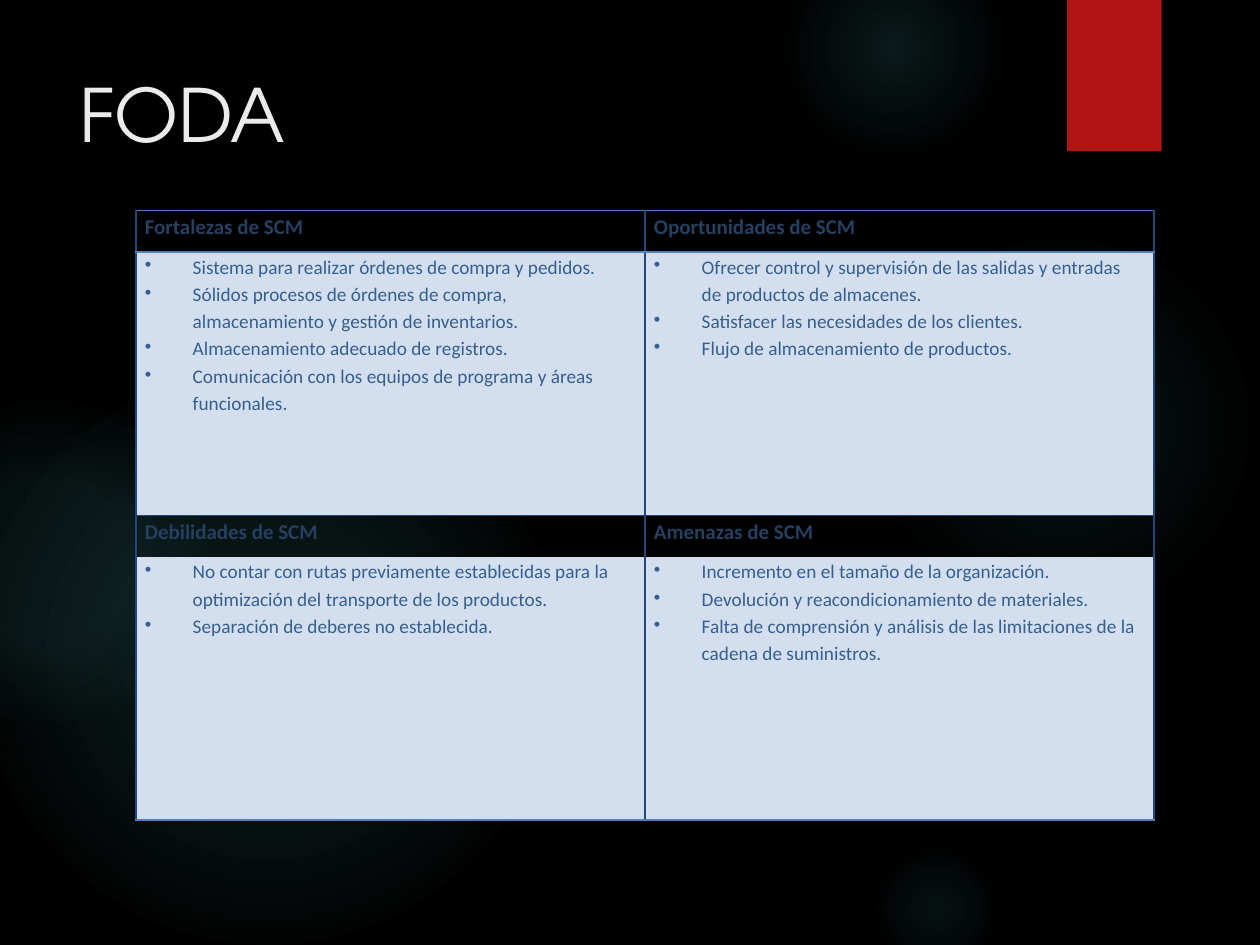
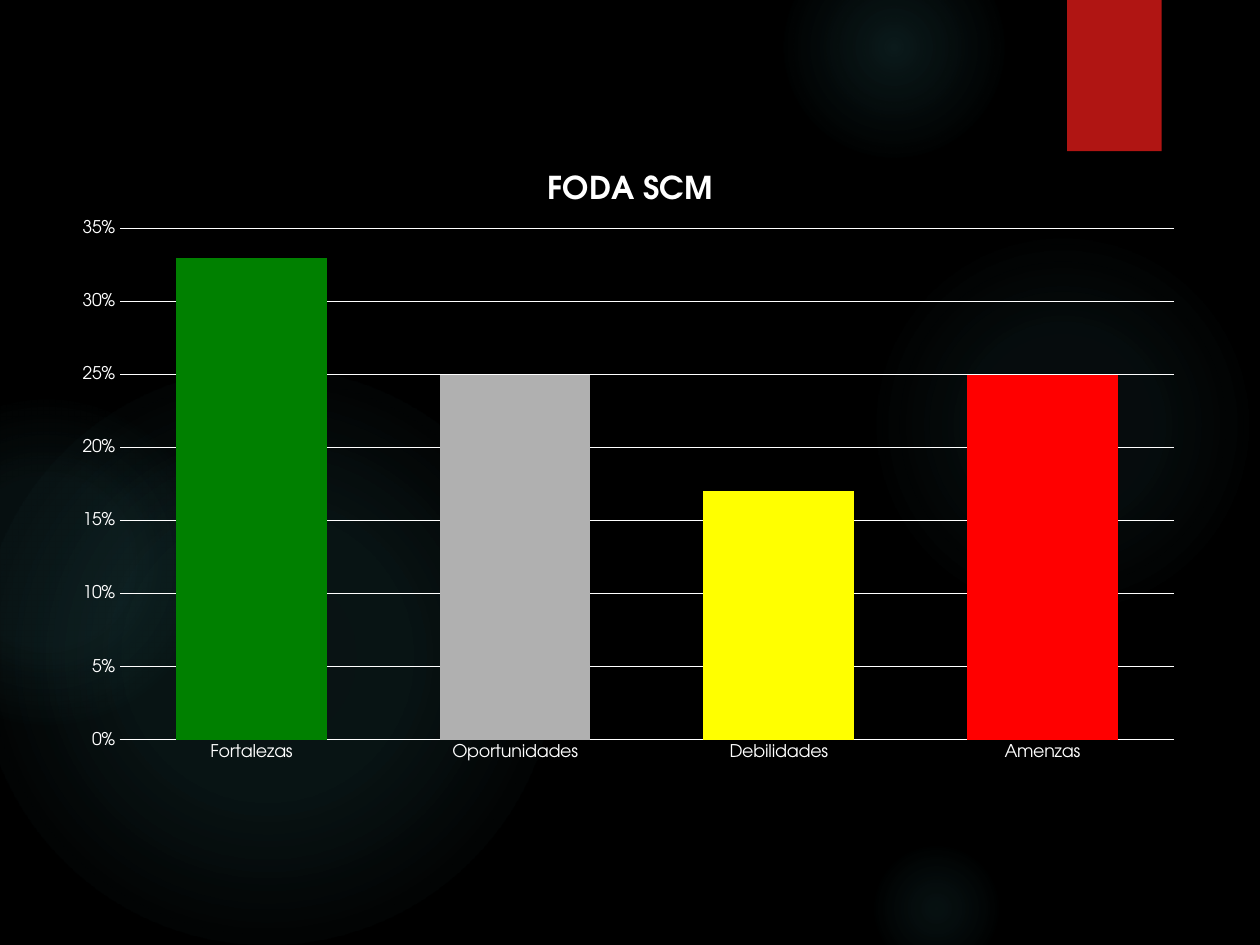
from lxml import etree
from pptx import Presentation
from pptx.chart.data import CategoryChartData
from pptx.dml.color import RGBColor
from pptx.enum.chart import XL_CHART_TYPE as ChartType, XL_TICK_MARK as TickMark
from pptx.enum.shapes import MSO_SHAPE as Shape
from pptx.enum.text import MSO_ANCHOR as Anchor
from pptx.oxml import parse_xml
from pptx.oxml.ns import nsdecls, qn
from pptx.util import Inches, Pt

COLORS = {
    "black": "000000", "glow": "50B9C1", "ribbon": "B01513", "title": "EBEBEB",
    "heading": "254061", "item": "365F91", "panel": "D3DFEE",
    "navy": "1F497D", "sky": "4F81BD", "white": "FFFFFF",
    "green": "008000", "grey": "B0B0B0", "yellow": "FFFF00", "red": "FF0000",
}
TITLE_FONT = "TeX Gyre Adventor"
TABLE_FONT = "Calibri"

# left, top, diameter, then (position %, opacity %) of each gradient stop
GLOWS = [
    (6.89, 1.83, 3.08, [(0, 7), (36, 6), (69, 0)]),
    (6.22, -0.5, 1.75, [(0, 14), (36, 7), (73, 0)]),
    (6.89, 6.67, 1.08, [(0, 9), (36, 5), (66, 0)]),
    (-0.17, 2.92, 4.58, [(0, 11), (36, 10), (75, 0)]),
    (-0.92, 3.17, 2.58, [(0, 8), (36, 8), (72, 0)]),
]

QUADRANTS = [
    [("Fortalezas de SCM", [
        "Sistema para realizar órdenes de compra y pedidos.",
        "Sólidos procesos de órdenes de compra, almacenamiento y gestión de inventarios.",
        "Almacenamiento adecuado de registros.",
        "Comunicación con los equipos de programa y áreas funcionales."]),
     ("Oportunidades de SCM", [
         "Ofrecer control y supervisión de las salidas y entradas de productos de almacenes.",
         "Satisfacer las necesidades de los clientes.",
         "Flujo de almacenamiento de productos."])],
    [("Debilidades de SCM", [
        "No contar con rutas previamente establecidas para la optimización del transporte "
        "de los productos.",
        "Separación de deberes no establecida."]),
     ("Amenazas de SCM", [
         "Incremento en el tamaño de la organización.",
         "Devolución y reacondicionamiento de materiales.",
         "Falta de comprensión y análisis de las limitaciones de la cadena de suministros."])],
]
ROW_HEIGHTS = [0.33, 2.09, 0.33, 2.09]
ROW_RULES = ["sky", "sky", "navy", None, "sky"]

SHARES = [
    ("Fortalezas", 0.33, "green"),
    ("Oportunidades", 0.25, "grey"),
    ("Debilidades", 0.17, "yellow"),
    ("Amenzas", 0.25, "red"),
]


def rgb(name):
    return RGBColor.from_string(COLORS[name])


def set_font(font, color, **values):
    for name, value in values.items():
        setattr(font, name, value)
    font.color.rgb = rgb(color)


def inches(box):
    return [Inches(length) for length in box]


def add_plain_shape(page, kind, box):
    shape = page.shapes.add_shape(kind, *inches(box))
    shape.shadow.inherit = False
    shape.line.fill.background()
    return shape


def add_glow(page, left, top, diameter, stops):
    """Circle whose colour fades from its centre outwards."""
    glow = add_plain_shape(page, Shape.OVAL, (left, top, diameter, diameter))
    stop_xml = "".join(
        f'<a:gs pos="{position * 1000}"><a:srgbClr val="{COLORS["glow"]}">'
        f'<a:alpha val="{opacity * 1000}"/></a:srgbClr></a:gs>'
        for position, opacity in stops)
    gradient = parse_xml(
        f'<a:gradFill {nsdecls("a")} rotWithShape="1"><a:gsLst>{stop_xml}</a:gsLst>'
        '<a:path path="circle"><a:fillToRect l="50000" t="50000" r="50000" b="50000"/>'
        '</a:path></a:gradFill>')
    glow._element.spPr.find(qn("a:prstGeom")).addnext(gradient)


def add_page(deck):
    """Blank slide with the shared dark backdrop and red ribbon."""
    page = deck.slides.add_slide(deck.slide_layouts[6])
    page.background.fill.solid()
    page.background.fill.fore_color.rgb = rgb("black")
    for glow in GLOWS:
        add_glow(page, *glow)
    ribbon = add_plain_shape(page, Shape.RECTANGLE, (8.47, 0, 0.75, 1.2))
    ribbon.fill.solid()
    ribbon.fill.fore_color.rgb = rgb("ribbon")
    return page


def add_title(page, text, box):
    frame = page.shapes.add_textbox(*inches(box)).text_frame
    frame.word_wrap = True
    frame.vertical_anchor = Anchor.TOP
    span = frame.paragraphs[0].add_run()
    span.text = text
    set_font(span.font, "title", name=TITLE_FONT, size=Pt(42))


def set_borders(cell, **sides):
    """Draw each side (L, R, T, B) in a named colour, or hide it for None."""
    props = cell._tc.get_or_add_tcPr()
    for side, color in sides.items():
        line = etree.SubElement(props, qn(f"a:ln{side}"), w=str(Pt(1)))
        if color:
            fill = etree.SubElement(line, qn("a:solidFill"))
            etree.SubElement(fill, qn("a:srgbClr"), val=COLORS[color])
        else:
            etree.SubElement(line, qn("a:noFill"))


def add_bullet(para):
    props = para._p.get_or_add_pPr()
    props.set("marL", str(Inches(0.38)))
    props.set("indent", str(-Inches(0.38)))
    etree.SubElement(props, qn("a:buChar"), char="•")


def write_cell(cell, lines, color, size, bold=False, bulleted=False):
    for side, inset in {"left": 0.07, "right": 0.07, "top": 0, "bottom": 0}.items():
        setattr(cell, f"margin_{side}", Inches(inset))
    frame = cell.text_frame
    for index, line in enumerate(lines):
        para = frame.add_paragraph() if index else frame.paragraphs[0]
        para.line_spacing = 1.15
        if bulleted:
            add_bullet(para)
        span = para.add_run()
        span.text = line
        set_font(span.font, color, name=TABLE_FONT, size=Pt(size), bold=bold)


def add_swot_table(page, box):
    table = page.shapes.add_table(len(ROW_HEIGHTS), 2, *inches(box)).table
    table.first_row = table.horz_banding = False
    for column in table.columns:
        column.width = Inches(box[2] / 2)
    for index, height in enumerate(ROW_HEIGHTS):
        table.rows[index].height = Inches(height)
        for cell in table.rows[index].cells:
            set_borders(cell, L="navy", R="navy",
                        T=ROW_RULES[index], B=ROW_RULES[index + 1])
    for band, quadrants in enumerate(QUADRANTS):
        for column, (heading, items) in enumerate(quadrants):
            head, body = (table.cell(2 * band + step, column) for step in (0, 1))
            head.fill.background()
            body.fill.solid()
            body.fill.fore_color.rgb = rgb("panel")
            write_cell(head, [heading], "heading", 12, bold=True)
            write_cell(body, items, "item", 11, bulleted=True)


def set_plot_area(chart, **fractions):
    """Fix the inner plot area as fractions (x, y, w, h) of the chart."""
    values = "".join(f'<c:{key} val="{value}"/>' for key, value in fractions.items())
    layout = parse_xml(
        f'<c:layout {nsdecls("c")}><c:manualLayout><c:layoutTarget val="inner"/>'
        f'<c:xMode val="edge"/><c:yMode val="edge"/>{values}</c:manualLayout></c:layout>')
    plot_area = chart._chartSpace.chart.plotArea
    for old in plot_area.findall(qn("c:layout")):
        plot_area.remove(old)
    plot_area.insert(0, layout)


def add_share_chart(page, box):
    data = CategoryChartData(number_format="0%")
    data.categories = [name for name, _, _ in SHARES]
    data.add_series("Series 1", [share for _, share, _ in SHARES])
    chart = page.shapes.add_chart(ChartType.COLUMN_CLUSTERED, *inches(box), data).chart
    set_font(chart.font, "white", name=TITLE_FONT, size=Pt(10))
    chart.has_legend = False
    chart.has_title = True
    title = chart.chart_title.text_frame
    title.text = "FODA SCM"
    set_font(title.paragraphs[0].runs[0].font, "white",
             name=TITLE_FONT, size=Pt(18), bold=True)

    plot = chart.plots[0]
    for name, value in {"gap_width": 75, "overlap": -25, "vary_by_categories": False}.items():
        setattr(plot, name, value)
    for index, (_, _, color) in enumerate(SHARES):
        fill = plot.series[0].points[index].format.fill
        fill.solid()
        fill.fore_color.rgb = rgb(color)

    shares, names = chart.value_axis, chart.category_axis
    for axis in (shares, names):
        axis.major_tick_mark = axis.minor_tick_mark = TickMark.NONE
    for name, value in {"minimum_scale": 0, "maximum_scale": 0.35, "major_unit": 0.05,
                        "has_major_gridlines": True}.items():
        setattr(shares, name, value)
    shares.tick_labels.number_format = "0%"
    shares.tick_labels.number_format_is_linked = False
    shares.format.line.fill.background()
    for line in (shares.major_gridlines.format.line, names.format.line):
        line.color.rgb = rgb("white")
        line.width = Pt(0.75)
    set_plot_area(chart, x=0.05, y=0.13, w=0.93, h=0.82)


def main():
    deck = Presentation()
    deck.slide_width, deck.slide_height = Inches(10), Inches(7.5)
    swot_page = add_page(deck)
    add_title(swot_page, "FODA", (0.53, 0.5, 7.72, 1.53))
    add_swot_table(swot_page, (1.08, 1.67, 8.08, sum(ROW_HEIGHTS)))
    add_share_chart(add_page(deck), (0.5, 1.17, 9, 4.95))
    deck.save("out.pptx")


if __name__ == "__main__":
    main()
